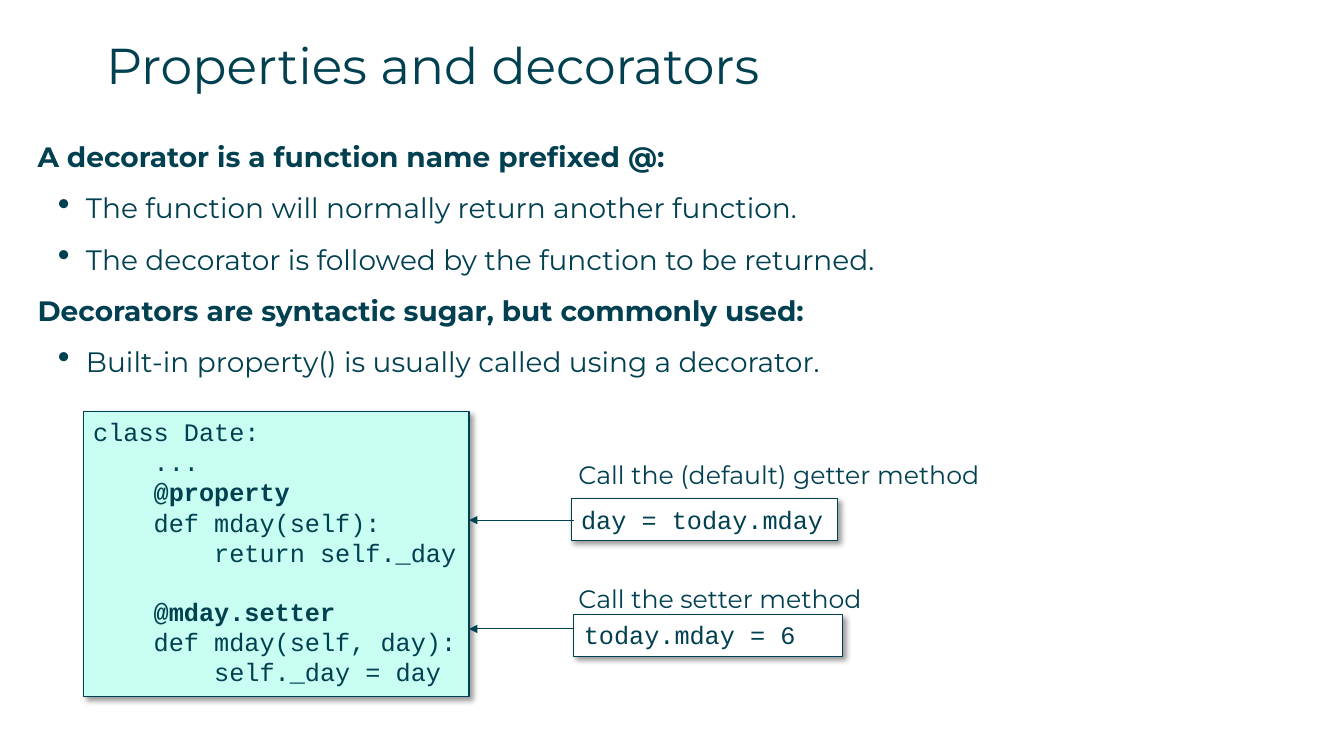
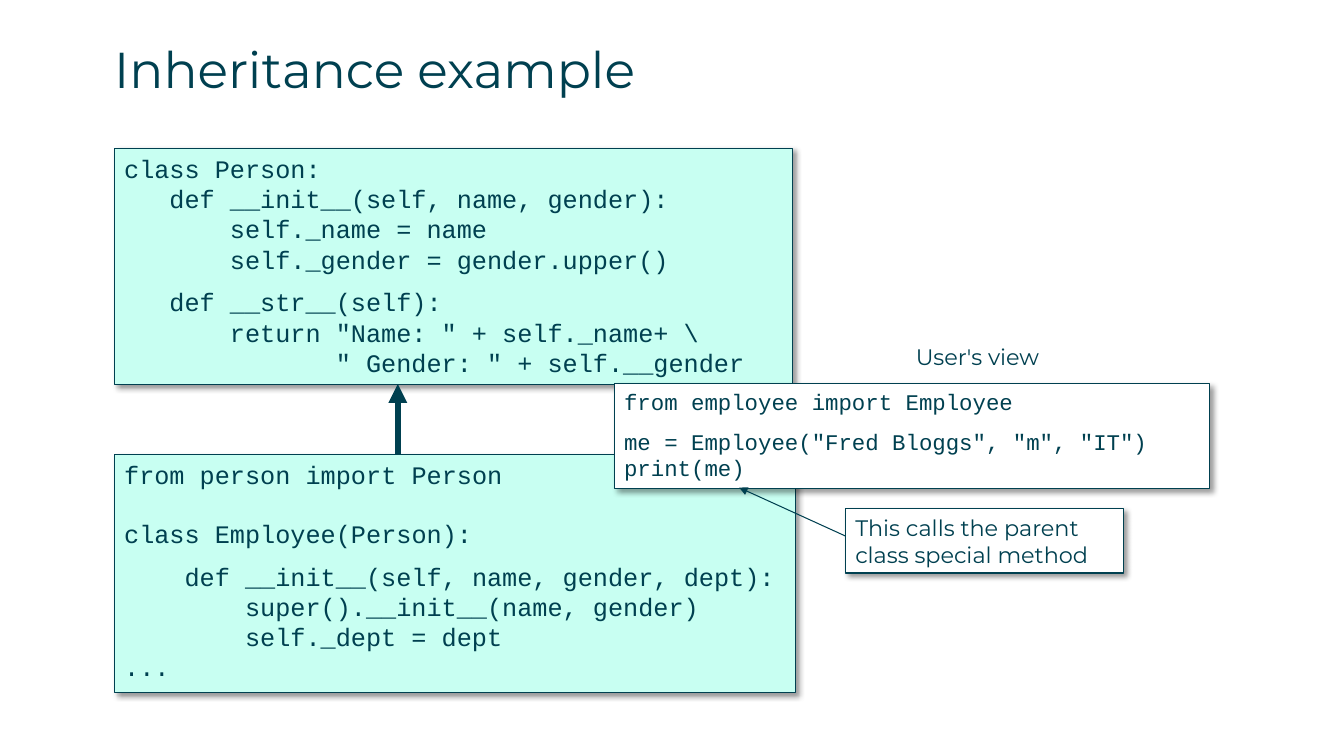
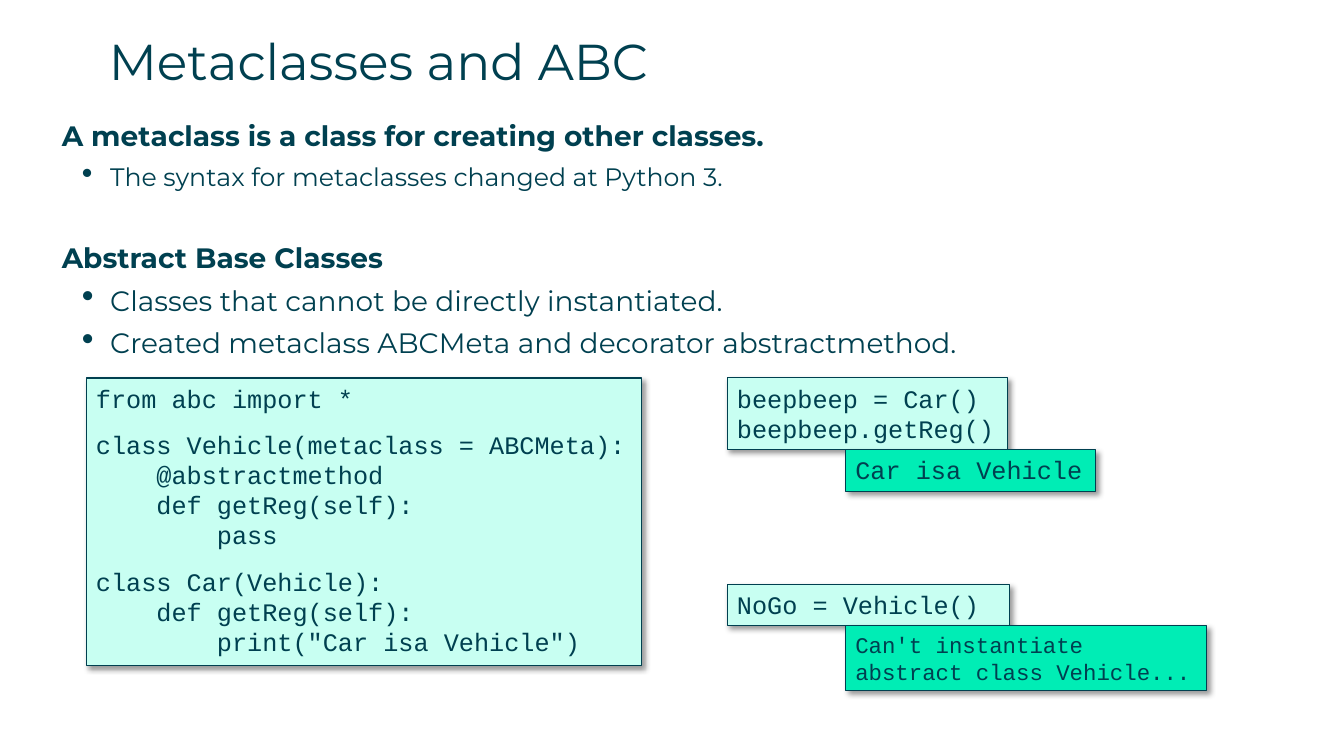
from dataclasses import dataclass
from typing import NamedTuple

from lxml import etree
from pptx import Presentation
from pptx import util as u
from pptx.dml.color import RGBColor
from pptx.enum import shapes, text
from pptx.oxml import ns

WIDTH, HEIGHT = u.Inches(13.33), u.Inches(7.5)
INK, MINT, GREEN, WHITE = "004050", "C8FFF2", "00EDB5", "FFFFFF"
SANS, MONO = "Montserrat", "Courier New"
MONO_ADVANCE = 0.6  # character width, in ems
MONO_LEADING = 1.13  # line height, in ems
BLANK_LINE = 18 * MONO_LEADING
SHORT_GAP = 8 * MONO_LEADING
CLASS_GAP = 10 * MONO_LEADING


class Area(NamedTuple):
    """Left, top, width and height in percent of the slide."""
    left: float
    top: float
    width: float
    height: float


@dataclass
class Line:
    text: str
    bold: bool = False
    before: float = 0


@dataclass
class Panel:
    area: Area
    lines: list[Line]
    fill: str = MINT
    size: int = 18
    font: str = MONO


@dataclass
class Label:
    area: Area
    text: str
    size: int = 18


@dataclass
class Arrow:
    start: tuple[float, float]
    end: tuple[float, float]
    weight: float = 0.75


@dataclass
class Point:
    text: str
    bullet: bool = True
    size: int = 20
    before: float = 0


@dataclass
class Body:
    area: Area
    points: list[Point]


def color(value: str) -> RGBColor:
    return RGBColor.from_string(value)


def across(share: float) -> int:
    return round(WIDTH * share / 100)


def down(share: float) -> int:
    return round(HEIGHT * share / 100)


def place(area: Area) -> tuple[int, int, int, int]:
    return across(area.left), down(area.top), across(area.width), down(area.height)


def add_xml(parent, tag: str, **attributes):
    child = etree.SubElement(parent, ns.qn(tag))
    for name, value in attributes.items():
        child.set(name, str(value))
    return child


def write(frame, content: str, *, size: float, font: str = SANS, bold: bool = False,
          before: float = 0, after: float = 0, indent: int = 0, hanging: int = 0):
    """Add a paragraph, reusing the empty one a new frame starts with."""
    para = frame.paragraphs[0]
    if para.runs:
        para = frame.add_paragraph()
    para.alignment = text.PP_ALIGN.LEFT
    para.space_before, para.space_after = u.Pt(before), u.Pt(after)
    span = para.add_run()
    span.text = content
    span.font.size, span.font.name, span.font.bold = u.Pt(size), font, bold
    span.font.color.rgb = color(INK)
    props = para._p.get_or_add_pPr()
    props.set("marL", str(indent))
    props.set("indent", str(-hanging))
    return para


def add_frame(page, area: Area, inset: bool = True):
    frame = page.shapes.add_textbox(*place(area)).text_frame
    frame.word_wrap = True
    if not inset:
        frame.margin_left = frame.margin_top = frame.margin_right = frame.margin_bottom = 0
    return frame


def add_title(page, title: str, left: float, top: float) -> None:
    write(add_frame(page, Area(left, top, 88, 11.7), inset=False), title, size=36)


def add_body(page, body: Body) -> None:
    frame = add_frame(page, body.area, inset=False)
    for point in body.points:
        para = write(frame, point.text, size=point.size, bold=not point.bullet,
                     before=point.before, after=6.5,
                     indent=u.Inches(0.48) if point.bullet else 0,
                     hanging=u.Inches(0.28) if point.bullet else 0)
        if point.bullet:
            props = para._p.get_or_add_pPr()
            add_xml(props, "a:buSzPct", val=125000)
            add_xml(props, "a:buChar", char="•")


def add_shadow(box) -> None:
    box.shadow.inherit = False
    effects = box._element.spPr.find(ns.qn("a:effectLst"))
    shadow = add_xml(effects, "a:outerShdw", blurRad=u.Pt(4), dist=u.Pt(3),
                     dir=45 * 60000, algn="tl", rotWithShape=0)
    add_xml(add_xml(shadow, "a:srgbClr", val="000000"), "a:alpha", val=40000)


def add_panel(page, panel: Panel) -> None:
    """Draw a shadowed box, turning leading spaces into paragraph indents."""
    box = page.shapes.add_shape(shapes.MSO_SHAPE.RECTANGLE, *place(panel.area))
    box.fill.solid()
    box.fill.fore_color.rgb = color(panel.fill)
    box.line.color.rgb = color(INK)
    box.line.width = u.Pt(0.75)
    add_shadow(box)
    frame = box.text_frame
    frame.word_wrap = True
    frame.vertical_anchor = text.MSO_ANCHOR.TOP
    for line in panel.lines:
        content = line.text.lstrip()
        columns = len(line.text) - len(content)
        write(frame, content, size=panel.size, font=panel.font, bold=line.bold,
              before=line.before, indent=u.Pt(columns * panel.size * MONO_ADVANCE))


def add_label(page, label: Label) -> None:
    write(add_frame(page, label.area), label.text, size=label.size)


def add_arrow(page, arrow: Arrow) -> None:
    (x1, y1), (x2, y2) = arrow.start, arrow.end
    connector = page.shapes.add_connector(
        shapes.MSO_CONNECTOR.STRAIGHT, across(x1), down(y1), across(x2), down(y2))
    connector.line.color.rgb = color(INK)
    connector.line.width = u.Pt(arrow.weight)
    add_xml(connector.line._get_or_add_ln(), "a:tailEnd", type="triangle")
    add_xml(connector._element.spPr, "a:effectLst")


DRAW = {Body: add_body, Panel: add_panel, Label: add_label, Arrow: add_arrow}


@dataclass
class Page:
    title: str
    left: float
    top: float
    items: list[Body | Panel | Label | Arrow]


PAGES = [
    Page("Properties and decorators", 7.9, 4.5, [
        Body(Area(2.8, 18.5, 94.4, 73.6), [
            Point("A decorator is a function name prefixed @:", bullet=False, before=6),
            Point("The function will normally return another function.", before=6),
            Point("The decorator is followed by the function to be returned.", before=6),
            Point("Decorators are syntactic sugar, but commonly used:", bullet=False, before=6),
            Point("Built-in property() is usually called using a decorator.", before=6),
        ]),
        Panel(Area(6.2, 54.4, 28.7, 37.7), [
            Line("class Date:"),
            Line("    ..."),
            Line("    @property", bold=True),
            Line("    def mday(self):"),
            Line("        return self._day"),
            Line("    @mday.setter", bold=True, before=BLANK_LINE),
            Line("    def mday(self, day):"),
            Line("        self._day = day"),
        ]),
        Panel(Area(42.5, 66, 19.8, 5.5), [Line("day = today.mday")], WHITE),
        Panel(Area(42.7, 81.3, 20, 5.5), [Line("today.mday = 6")], WHITE),
        Label(Area(42.3, 60.1, 31.7, 5.3), "Call the (default) getter method"),
        Label(Area(42.3, 76.5, 22.9, 5.3), "Call the setter method"),
        Arrow((42.7, 83.2), (34.9, 83.2)),
        Arrow((42.7, 68.8), (34.9, 68.8)),
    ]),
    Page("Inheritance example", 8.5, 5.1, [
        Panel(Area(8.5, 19.6, 50.5, 31.3), [
            Line("class Person:"),
            Line("   def __init__(self, name, gender):"),
            Line("       self._name = name"),
            Line("       self._gender = gender.upper()"),
            Line("   def __str__(self):", before=SHORT_GAP),
            Line("       return \"Name: \" + self._name+ \\"),
            Line("              \" Gender: \" + self.__gender"),
        ]),
        Panel(Area(8.5, 60.1, 50.7, 31.5), [
            Line("from person import Person"),
            Line("class Employee(Person):", before=BLANK_LINE),
            Line("    def __init__(self, name, gender, dept):", before=SHORT_GAP),
            Line("        super().__init__(name, gender)"),
            Line("        self._dept = dept"),
            Line("..."),
        ]),
        Arrow((29.6, 60), (29.6, 50.8), weight=4.5),
        Panel(Area(45.7, 50.7, 44.3, 13.9), [
            Line("from employee import Employee"),
            Line("me = Employee(\"Fred Bloggs\", \"m\", \"IT\")", before=SHORT_GAP),
            Line("print(me)"),
        ], WHITE, size=16),
        Panel(Area(62.9, 67.3, 20.7, 8.5),
              [Line("This calls the parent class special method")],
              WHITE, size=16, font=SANS),
        Arrow((62.9, 70.9), (55, 64.5)),
        Label(Area(67.4, 44.7, 10.8, 4.9), "User's view", size=16),
    ]),
    Page("Metaclasses and ABC", 8.1, 4, [
        Body(Area(4.6, 15.7, 94.4, 72.3), [
            Point("A metaclass is a class for creating other classes.", bullet=False),
            Point("The syntax for metaclasses changed at Python 3.", size=18),
            Point("Abstract Base Classes", bullet=False, before=28.4),
            Point("Classes that cannot be directly instantiated."),
            Point("Created metaclass ABCMeta and decorator abstractmethod."),
        ]),
        Panel(Area(6.4, 50, 41.3, 38), [
            Line("from abc import *"),
            Line("class Vehicle(metaclass = ABCMeta):", before=CLASS_GAP),
            Line("    @abstractmethod"),
            Line("    def getReg(self):"),
            Line("        pass"),
            Line("class Car(Vehicle):", before=CLASS_GAP),
            Line("    def getReg(self):"),
            Line("        print(\"Car isa Vehicle\")"),
        ]),
        Panel(Area(54.1, 50, 20.9, 9.5), [Line("beepbeep = Car()"), Line("beepbeep.getReg()")]),
        Panel(Area(62.9, 59.5, 18.6, 5.5), [Line("Car isa Vehicle")], GREEN),
        Panel(Area(54.1, 77.3, 21, 5.5), [Line("NoGo = Vehicle()")]),
        Panel(Area(62.9, 82.8, 26.9, 8.5),
              [Line("Can't instantiate"), Line("abstract class Vehicle...")],
              GREEN, size=16),
    ]),
]


def main() -> None:
    deck = Presentation()
    deck.slide_width, deck.slide_height = WIDTH, HEIGHT
    for content in PAGES:
        page = deck.slides.add_slide(deck.slide_layouts[6])
        add_title(page, content.title, content.left, content.top)
        for item in content.items:
            DRAW[type(item)](page, item)
    deck.save("out.pptx")


if __name__ == "__main__":
    main()
